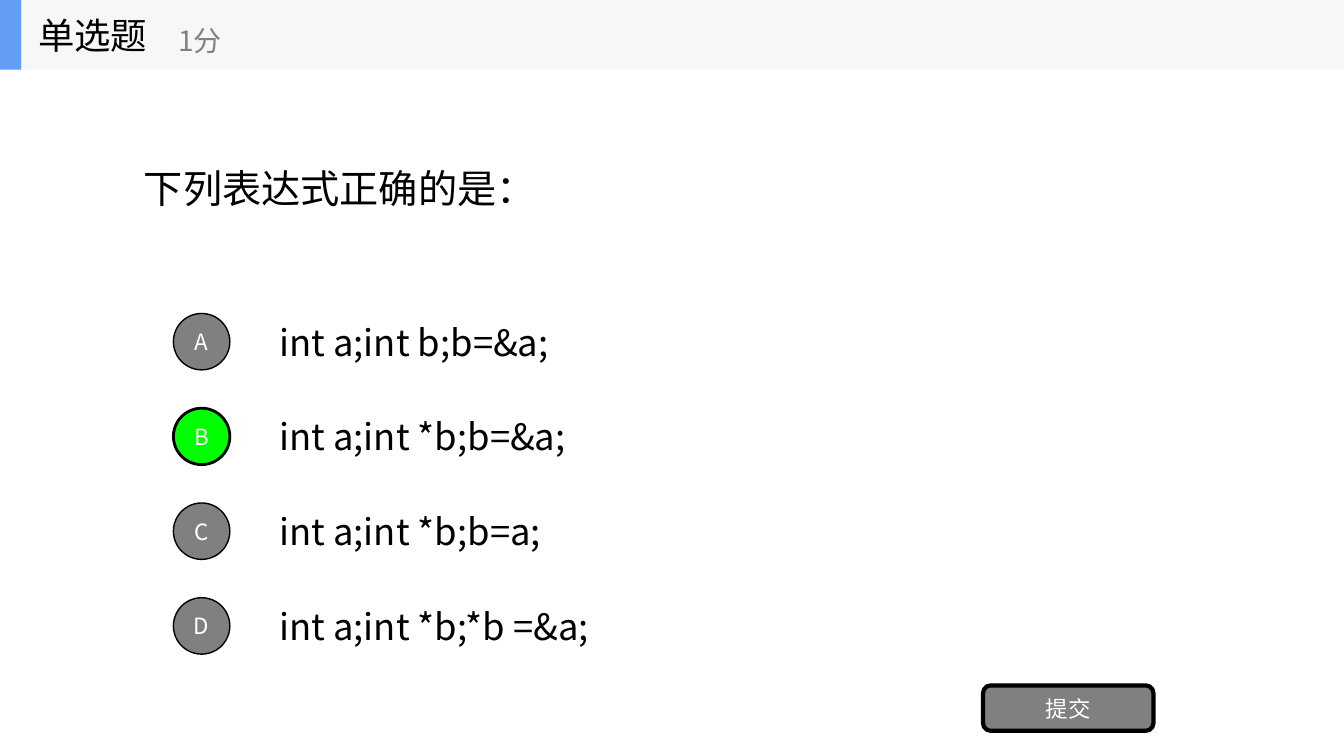
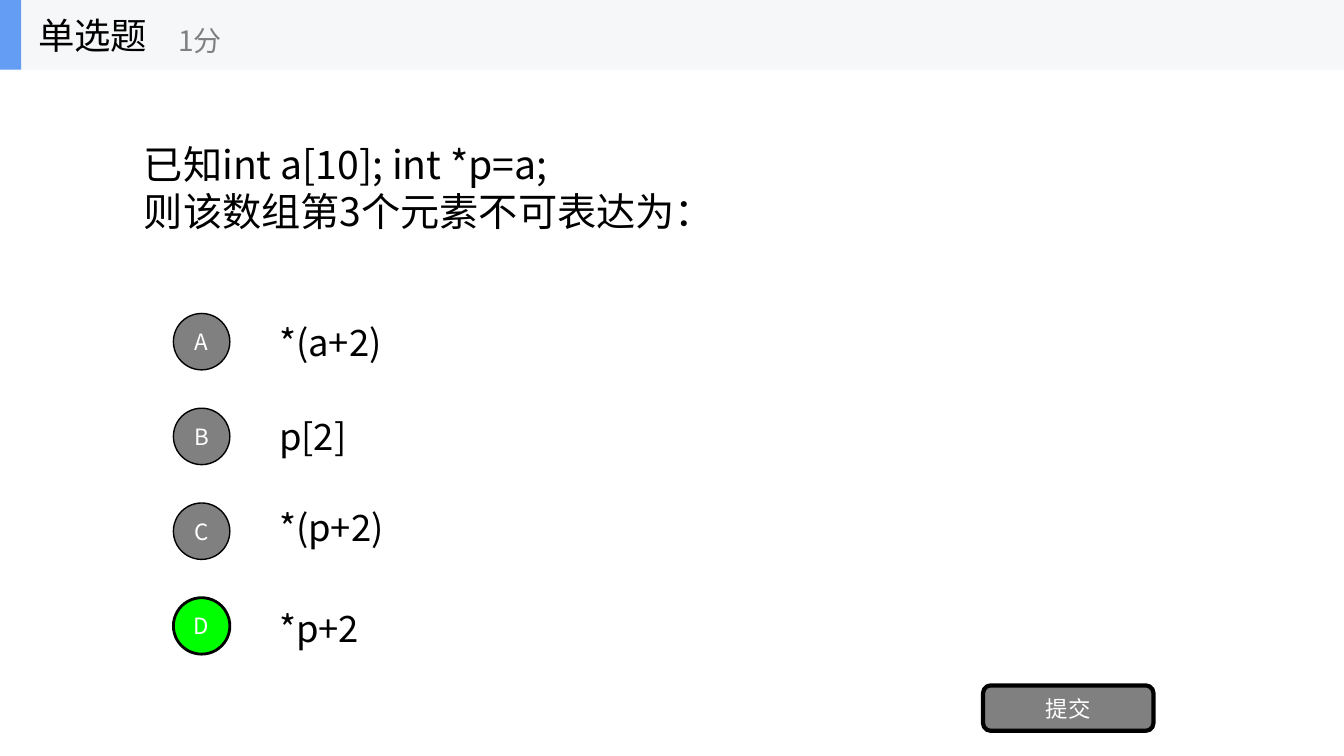
from pptx import Presentation
from pptx.dml.color import RGBColor as RGB
from pptx.enum.shapes import MSO_SHAPE as Shape
from pptx.enum.text import MSO_ANCHOR as Anchor, PP_ALIGN as Align
from pptx.oxml.ns import qn
from pptx.util import Inches, Pt
from lxml.etree import SubElement

FONT = "Noto Sans CJK SC"
COLORS = {
    "ink": "000000", "paper": "FFFFFF", "grey": "808080",
    "right": "00FF00", "band": "F6F7F8", "accent": "639EF4",
}
WIDTH, HEIGHT = 13.33, 7.5
BAND = 0.69
STEP = 0.94

QUIZ = [
    {
        "stem": ["下列表达式正确的是："],
        "items": ["int a;int b;b=&a;", "int a;int *b;b=&a;",
                  "int a;int *b;b=a;", "int a;int *b;*b =&a;"],
        "answer": "B",
        "shifts": [0, 0, 0, 0],
    },
    {
        "stem": ["已知int a[10]; int *p=a;", "则该数组第3个元素不可表达为："],
        "items": ["*(a+2)", "p[2]", "*(p+2)", "*p+2"],
        "answer": "D",
        "shifts": [0, 0, -0.04, 0.02],
    },
]


def color(key):
    return RGB.from_string(COLORS[key])


def write(shape, lines, size, ink, align=Align.LEFT):
    frame = shape.text_frame
    frame.word_wrap = True
    frame.vertical_anchor = Anchor.MIDDLE
    frame.text = "\n".join(lines)
    for para in frame.paragraphs:
        para.alignment = align
        font = para.font
        font.size = Pt(size)
        font.color.rgb = color(ink)
        font.name = FONT
        props = para._p.pPr.find(qn("a:defRPr"))
        SubElement(props, qn("a:ea"), typeface=FONT)


def label(shapes, box, lines, size, ink="ink"):
    text = shapes.add_textbox(*map(Inches, box))
    write(text, lines, size, ink)


def block(shapes, kind, box, fill, line=0):
    shape = shapes.add_shape(kind, *map(Inches, box))
    shape.shadow.inherit = False
    shape.fill.solid()
    shape.fill.fore_color.rgb = color(fill)
    if line:
        shape.line.color.rgb = color("ink")
        shape.line.width = Pt(line)
    else:
        shape.line.fill.background()
    return shape


def button(shapes, kind, box, text, fill, line):
    shape = block(shapes, kind, box, fill, line)
    write(shape, [text], 16, "paper", Align.CENTER)


def header(slide, box):
    left, top, width, height = box
    shapes = slide.shapes.add_group_shape().shapes
    block(shapes, Shape.RECTANGLE, box, "band")
    block(shapes, Shape.RECTANGLE, (left, top, 0.21, height), "accent")
    label(shapes, (left + 0.28, top, 2.08, height), ["单选题"], 26)
    label(shapes, (left + 1.67, top + 0.12, 2.5, 0.56), ["1分"], 20, "grey")


def choices(slide, box, quiz):
    left, top, width, height = box
    rows = zip("ABCD", quiz["items"], quiz["shifts"])
    for row, (mark, text, shift) in enumerate(rows):
        y = top + row * STEP
        hit = mark == quiz["answer"]
        label(slide.shapes, (left + 0.95, y + shift, width - 0.95, 0.7),
              [text], 26)
        button(slide.shapes, Shape.OVAL, (left, y + 0.07, 0.56, 0.56), mark,
               "right" if hit else "grey", 2 if hit else 1)


def question(deck, quiz):
    slide = deck.slides.add_slide(deck.slide_layouts[6])
    slide.background.fill.solid()
    slide.background.fill.fore_color.rgb = color("paper")
    label(slide.shapes, (1.33, BAND, 10.67, 2.34), quiz["stem"], 28)
    choices(slide, (1.72, 3.04, 10.28, 3.52), quiz)
    button(slide.shapes, Shape.ROUNDED_RECTANGLE, (9.75, 6.8, 1.69, 0.45),
           "提交", "grey", 3)
    header(slide, (0, 0, WIDTH, BAND))


def main():
    deck = Presentation()
    deck.slide_width = Inches(WIDTH)
    deck.slide_height = Inches(HEIGHT)
    for quiz in QUIZ:
        question(deck, quiz)
    deck.save("out.pptx")


if __name__ == "__main__":
    main()
